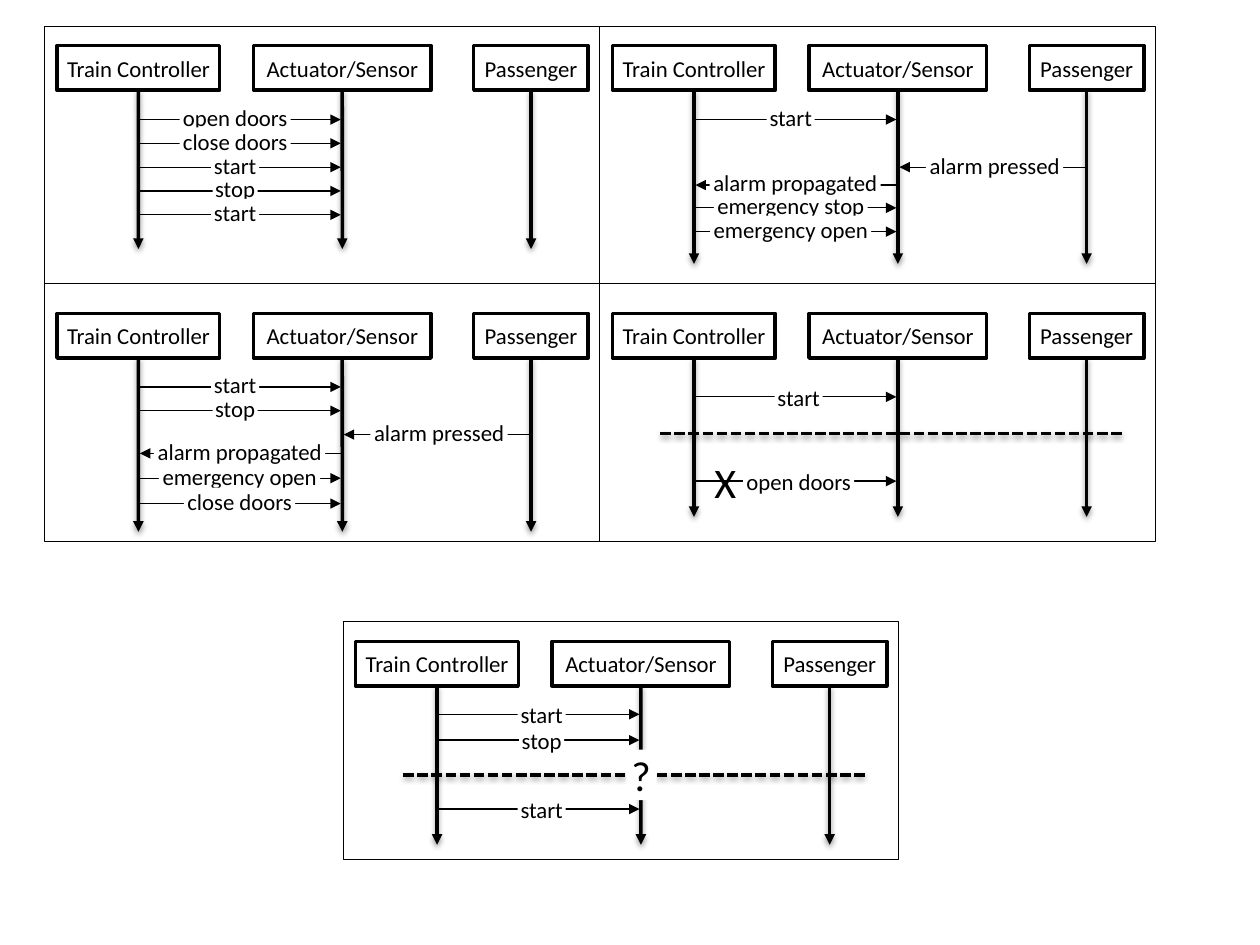
import lxml.etree
import pptx
import pptx.dml.color
import pptx.enum.dml
import pptx.enum.shapes
import pptx.enum.text
import pptx.oxml.ns
import pptx.util

Cm = pptx.util.Cm
BLACK = pptx.dml.color.RGBColor(0, 0, 0)
WHITE = pptx.dml.color.RGBColor(255, 255, 255)
FONT = "Calibri"

HEADS = [
    ("Train Controller", 0.26, 3.28),
    ("Actuator/Sensor", 4.22, 3.58),
    ("Passenger", 8.66, 2.31),
]
HEAD_H = 0.9
LIVES = [left + width / 2 for _, left, width in HEADS]
WIDTHS = {
    "open doors": 2.24,
    "close doors": 2.24,
    "start": 0.97,
    "stop": 0.91,
    "alarm pressed": 2.77,
    "alarm propagated": 3.45,
    "emergency stop": 3.1,
    "emergency open": 3.25,
}
LABEL_H = 0.56
COLS = [0.89, 12.09]
ROWS = [0.92, 6.32]
LAST = (6.91, 12.93)

DOORS = [
    (text, 0, 1, 1.49 + 0.48 * row, 3.85)
    for row, text in enumerate(["open doors", "close doors", "start", "stop", "start"])
]
ALARM = [
    ("start", 0, 1, 1.49, 3.85),
    ("alarm pressed", 2, 1, 2.45, 7.96),
    ("emergency stop", 0, 1, 3.27, 3.85),
    ("emergency open", 0, 1, 3.75, 3.85),
    ("alarm propagated", 1, 0, 2.81, 3.94),
]
HALT = [
    ("start", 0, 1, 1.48, 3.85),
    ("stop", 0, 1, 1.96, 3.85),
    ("alarm pressed", 2, 1, 2.44, 7.96),
    ("emergency open", 0, 1, 3.32, 3.94),
    ("close doors", 0, 1, 3.83, 3.94),
    ("alarm propagated", 1, 0, 2.82, 3.94),
]
BAN = [("start", 0, 1, 1.68, 4.01), ("open doors", 0, 1, 3.38, 4.01)]
QUERY = [
    ("start", 0, 1, 1.47, 4.01),
    ("stop", 0, 1, 1.99, 4.01),
    ("start", 0, 1, 3.38, 4.01),
]


def write(shape, text, size, inset, align):
    """Put one run of text in a shape."""
    frame = shape.text_frame
    frame.margin_left = frame.margin_right = Cm(inset)
    frame.margin_top = frame.margin_bottom = 0
    para = frame.paragraphs[0]
    para.alignment = align
    run = para.add_run()
    run.text = text
    run.font.name = FONT
    run.font.size = pptx.util.Pt(size)
    run.font.color.rgb = BLACK


def add_box(group, left, top, width, height, weight=None):
    """Add a white rectangle, outlined if a weight is given."""
    box = group.shapes.add_shape(
        pptx.enum.shapes.MSO_SHAPE.RECTANGLE, Cm(left), Cm(top), Cm(width), Cm(height)
    )
    box.shadow.inherit = False
    box.fill.solid()
    box.fill.fore_color.rgb = WHITE
    if weight:
        box.line.color.rgb = BLACK
        box.line.width = pptx.util.Pt(weight)
    else:
        box.line.fill.background()
    return box


def fit(shape):
    """Let a shape grow with its unwrapped text."""
    frame = shape.text_frame
    frame.word_wrap = False
    frame.auto_size = pptx.enum.text.MSO_AUTO_SIZE.SHAPE_TO_FIT_TEXT
    frame.vertical_anchor = pptx.enum.text.MSO_ANCHOR.TOP


def add_label(group, text, mid, top):
    """Add a message label centred on a point."""
    width = WIDTHS[text]
    label = add_box(group, mid - width / 2, top, width, LABEL_H)
    fit(label)
    write(label, text, 13, 0.05, pptx.enum.text.PP_ALIGN.CENTER)


def add_line(group, start, end, weight=0.75, arrow=False, dash=False, shade=False):
    """Add a black line with optional arrowhead, dashes and shadow."""
    line = group.shapes.add_connector(
        pptx.enum.shapes.MSO_CONNECTOR.STRAIGHT, *[Cm(v) for v in (*start, *end)]
    )
    line.line.color.rgb = BLACK
    line.line.width = pptx.util.Pt(weight)
    if dash:
        line.line.dash_style = pptx.enum.dml.MSO_LINE.SQUARE_DOT
    qn = pptx.oxml.ns.qn
    sub = lxml.etree.SubElement
    props = line.element.spPr
    if arrow:
        sub(props.find(qn("a:ln")), qn("a:tailEnd"), type="triangle")
    effect = sub(props, qn("a:effectLst"))
    if shade:
        shadow = sub(effect, qn("a:outerShdw"), blurRad="40000", dist="20000",
                     dir="5400000", rotWithShape="0")
        tint = sub(shadow, qn("a:srgbClr"), val=str(BLACK))
        sub(tint, qn("a:alpha"), val="38000")
    return line


def add_flow(group, left, top, length, notes, lift=0.32, cut=None):
    """Add one sequence diagram of heads, lifelines and messages."""
    if cut:
        add_line(group, (left + 1.22, top + cut), (left + 10.52, top + cut), 2,
                 dash=True, shade=True)
    heads = []
    for text, shift, width in HEADS:
        head = add_box(group, left + shift, top, width, HEAD_H, 2)
        write(head, text, 13, 0, pptx.enum.text.PP_ALIGN.CENTER)
        heads.append(head)
    for head, life in zip(heads, LIVES):
        line = add_line(group, (left + life, top + HEAD_H), (left + life, top + length),
                        2, arrow=True, shade=True)
        line.begin_connect(head, 2)
    for text, source, target, drop, mid in notes:
        gap = 0.03 if source > target else -0.03
        add_line(group, (left + LIVES[source], top + drop),
                 (left + LIVES[target] + gap, top + drop), arrow=True)
        add_label(group, text, left + mid, top + drop - lift)


def add_grid(group):
    """Add the four diagrams in their ruled frame."""
    left, top, width, height = COLS[0], 0.53, 22.4, 10.39
    add_box(group, left, top, width, height, 0.25)
    add_flow(group, COLS[0], ROWS[0], 4.1, DOORS)
    add_flow(group, COLS[0], ROWS[1], 4.4, HALT)
    add_flow(group, COLS[1], ROWS[1], 4.1, BAN, 0.27, 2.42)
    cross = group.shapes.add_textbox(Cm(COLS[1] + 2.06), Cm(ROWS[1] + 2.75), Cm(0.97), Cm(1.27))
    fit(cross)
    write(cross, "X", 24, 0.25, pptx.enum.text.PP_ALIGN.LEFT)
    cross.text_frame.margin_top = cross.text_frame.margin_bottom = Cm(0.13)
    add_flow(group, COLS[1], ROWS[0], 4.4, ALARM)
    add_line(group, (COLS[1], top), (COLS[1], top + height))
    add_line(group, (left + width, 5.72), (left, 5.72))


def add_query(group):
    """Add the framed diagram with the open question."""
    left, top = LAST
    add_box(group, left, 12.52, 11.2, 4.8, 0.25)
    add_flow(group, left, top, 4.1, QUERY, 0.27, 2.69)
    mark = add_box(group, left + 5.72, top + 2.18, 0.61, 1.02)
    fit(mark)
    write(mark, "?", 24, 0.1, pptx.enum.text.PP_ALIGN.LEFT)


def main():
    """Build the slide and save it."""
    deck = pptx.Presentation()
    deck.slide_width, deck.slide_height = Cm(25.4), Cm(19.05)
    slide = deck.slides.add_slide(deck.slide_layouts[6])
    add_grid(slide.shapes.add_group_shape())
    add_query(slide.shapes.add_group_shape())
    deck.save("out.pptx")


if __name__ == "__main__":
    main()
